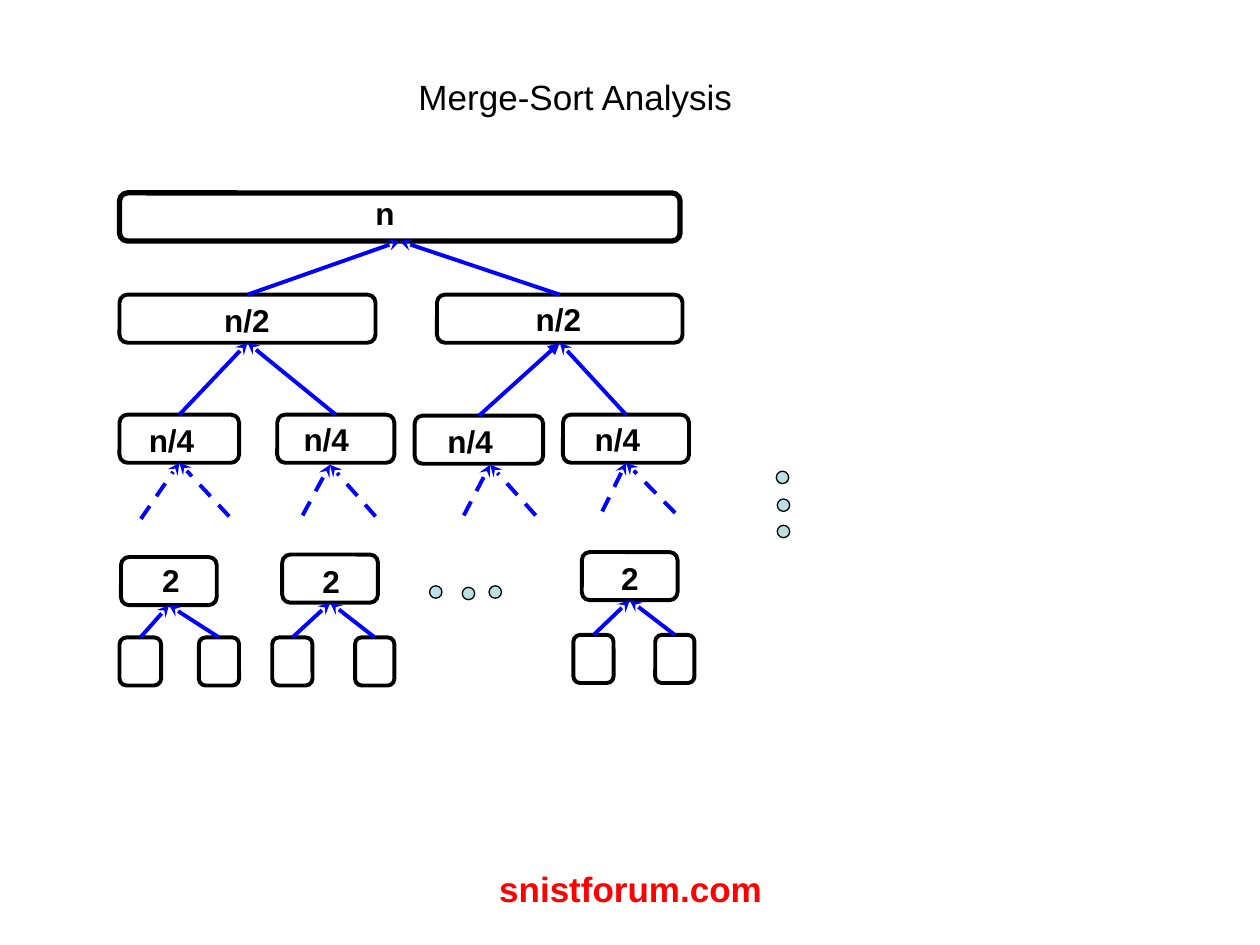
import pptx
import pptx.util
import pptx.dml.color
import pptx.enum.dml
import pptx.enum.shapes
import pptx.enum.text
import pptx.oxml.ns
import lxml.etree
from dataclasses import dataclass

Cm = pptx.util.Cm
Pt = pptx.util.Pt
SHAPE = pptx.enum.shapes.MSO_SHAPE
ALIGN = pptx.enum.text.PP_ALIGN
ANCHOR = pptx.enum.text.MSO_ANCHOR


@dataclass(frozen=True)
class Theme:
    font: str = "Arial"
    ink: str = "000000"
    arrow: str = "0000FF"
    dot: str = "BBE0E3"
    footer: str = "FF0000"
    heading_size: float = 20
    label_size: float = 18
    root_line: float = 3
    line: float = 2.25
    dot_line: float = 0.75


THEME = Theme()
BOX_HEIGHT = 0.97
DOT_SIZE = 0.25
CORNER = 0.167

TITLE = ("Merge-Sort Analysis", (1.12, 0.89, 20.96, 2.11))
FOOTER = ("snistforum.com", (8.69, 17.35, 8.05, 1.32))

# parent, left, top, width, arrowhead
NODES = [
    (None, 2.41, 3.89, 11.3, None),
    (0, 2.41, 5.94, 5.16, "stealth"),
    (0, 8.81, 5.94, 4.95, "stealth"),
    (1, 2.41, 8.36, 2.41, "stealth"),
    (1, 5.59, 8.36, 2.36, "stealth"),
    (2, 8.36, 8.38, 2.59, "triangle"),
    (2, 11.35, 8.36, 2.54, "stealth"),
    (None, 2.44, 11.23, 1.93, None),
    (None, 5.69, 11.18, 1.93, None),
    (None, 11.73, 11.13, 1.93, None),
    (7, 2.41, 12.85, 0.84, "stealth"),
    (7, 4.01, 12.85, 0.81, "stealth"),
    (8, 5.49, 12.85, 0.81, "stealth"),
    (8, 7.16, 12.85, 0.79, "stealth"),
    (9, 11.56, 12.8, 0.81, "stealth"),
    (9, 13.21, 12.8, 0.79, "stealth"),
]

LABELS = [
    ("n", 0.89, [(7.57, 3.91)]),
    ("n/2", 1.42, [(4.52, 6.07), (10.8, 6.05)]),
    ("n/4", 1.42, [(3, 8.48), (6.12, 8.46), (9.02, 8.51), (11.99, 8.46)]),
]
PAIR_LABELS = [(3.02, 11.18), (6.25, 11.2), (12.27, 11.13)]

OMITTED = [
    (3, (3.61, 9.3), [(2.84, 10.46), (4.62, 10.41)]),
    (None, (6.65, 9.37), [(6.1, 10.39), (7.57, 10.41)]),
    (None, (9.88, 9.37), [(9.35, 10.39), (10.8, 10.39)]),
    (6, (12.7, 9.3), [(12.14, 10.31), (13.61, 10.34)]),
]

DOTS = [(15.65, 9.5), (15.67, 10.06), (15.67, 10.59),
        (8.66, 11.81), (9.32, 11.84), (9.86, 11.81)]


def color(value):
    return pptx.dml.color.RGBColor.from_string(value)


def add_outline(page, kind, bounds, weight, fill=None):
    shape = page.shapes.add_shape(kind, *map(Cm, bounds))
    shape.shadow.inherit = False
    if fill:
        shape.fill.solid()
        shape.fill.fore_color.rgb = color(fill)
    else:
        shape.fill.background()
    shape.line.color.rgb = color(THEME.ink)
    shape.line.width = Pt(weight)
    return shape


def add_arrow(page, start, end, head="stealth", dashed=False):
    arrow = page.shapes.add_connector(
        pptx.enum.shapes.MSO_CONNECTOR.STRAIGHT, *map(Cm, start + end))
    arrow.line.color.rgb = color(THEME.arrow)
    arrow.line.width = Pt(THEME.line)
    if dashed:
        arrow.line.dash_style = pptx.enum.dml.MSO_LINE.DASH
    qn = pptx.oxml.ns.qn
    properties = arrow._element.spPr
    outline = properties.find(qn("a:ln"))
    lxml.etree.SubElement(outline, qn("a:tailEnd"), type=head)
    lxml.etree.SubElement(properties, qn("a:effectLst"))
    return arrow


def add_text(page, text, bounds, size, ink=THEME.ink, bold=True, inset=(0.25, 0.13),
             align=ALIGN.LEFT, anchor=ANCHOR.TOP, wrap=True):
    box = page.shapes.add_textbox(*map(Cm, bounds))
    frame = box.text_frame
    frame.word_wrap = wrap
    frame.vertical_anchor = anchor
    frame.margin_left = frame.margin_right = Cm(inset[0])
    frame.margin_top = frame.margin_bottom = Cm(inset[1])
    para = frame.paragraphs[0]
    para.text = text
    para.alignment = align
    para.font.name = THEME.font
    para.font.size = Pt(size)
    para.font.bold = bold
    para.font.color.rgb = color(ink)


def add_tree(page):
    boxes = []
    for index, (parent, left, top, width, head) in enumerate(NODES):
        weight = THEME.line if index else THEME.root_line
        box = add_outline(page, SHAPE.ROUNDED_RECTANGLE,
                          (left, top, width, BOX_HEIGHT), weight)
        box.adjustments[0] = CORNER
        boxes.append(box)
        if parent is not None:
            arrow = add_arrow(page, (0, 0), (0, 0), head)
            arrow.begin_connect(box, 0)
            arrow.end_connect(boxes[parent], 2)
    for parent, tip, starts in OMITTED:
        for start in starts:
            arrow = add_arrow(page, start, tip, dashed=True)
            if parent is not None:
                arrow.end_connect(boxes[parent], 2)


def main():
    deck = pptx.Presentation()
    deck.slide_width, deck.slide_height = Cm(25.4), Cm(19.05)
    page = deck.slides.add_slide(deck.slide_layouts[6])
    add_text(page, *TITLE, THEME.heading_size, bold=False,
             align=ALIGN.CENTER, anchor=ANCHOR.MIDDLE)
    add_tree(page)
    for text, width, places in LABELS:
        for place in places:
            add_text(page, text, (*place, width, 0.76), THEME.label_size, inset=(0, 0))
    for place in PAIR_LABELS:
        add_text(page, "2", (*place, 0.86, 1.02), THEME.label_size, wrap=False)
    for place in DOTS:
        add_outline(page, SHAPE.OVAL, (*place, DOT_SIZE, DOT_SIZE),
                    THEME.dot_line, THEME.dot)
    add_text(page, *FOOTER, THEME.heading_size, THEME.footer, align=ALIGN.CENTER)
    deck.save("out.pptx")


if __name__ == "__main__":
    main()
